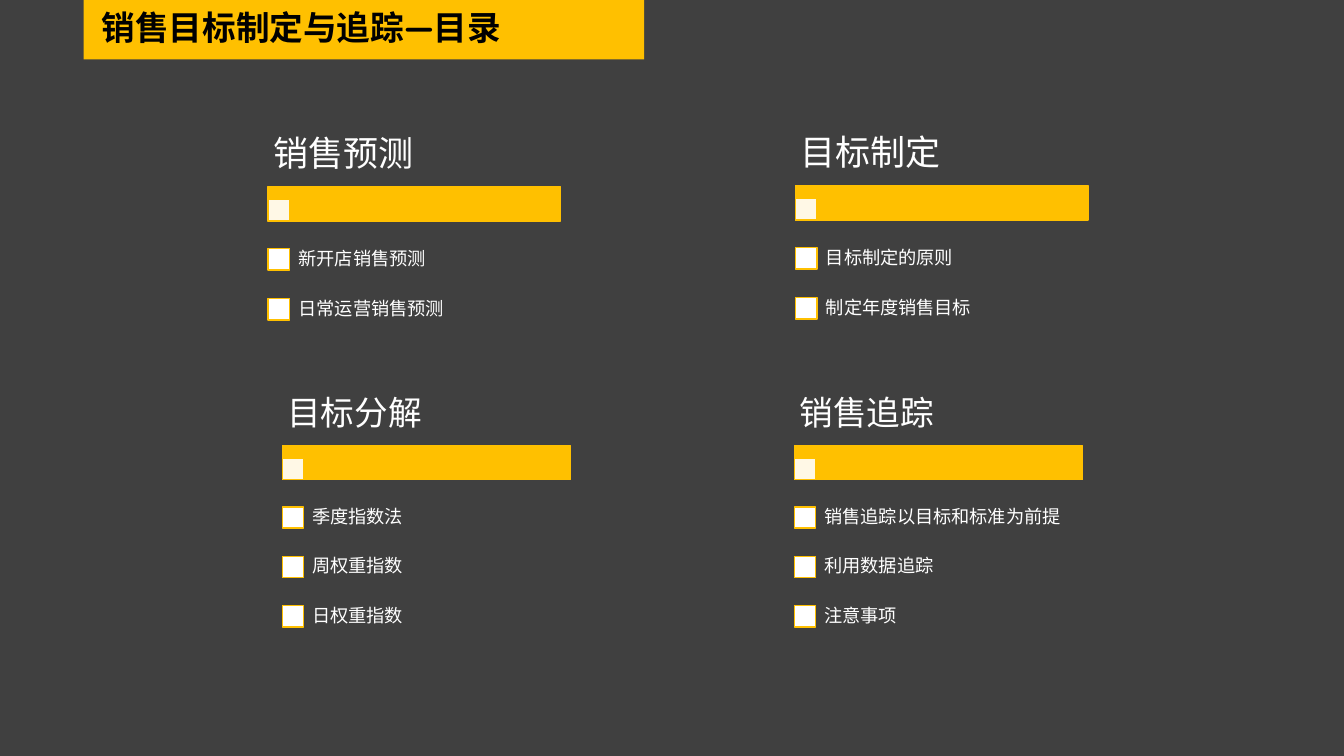
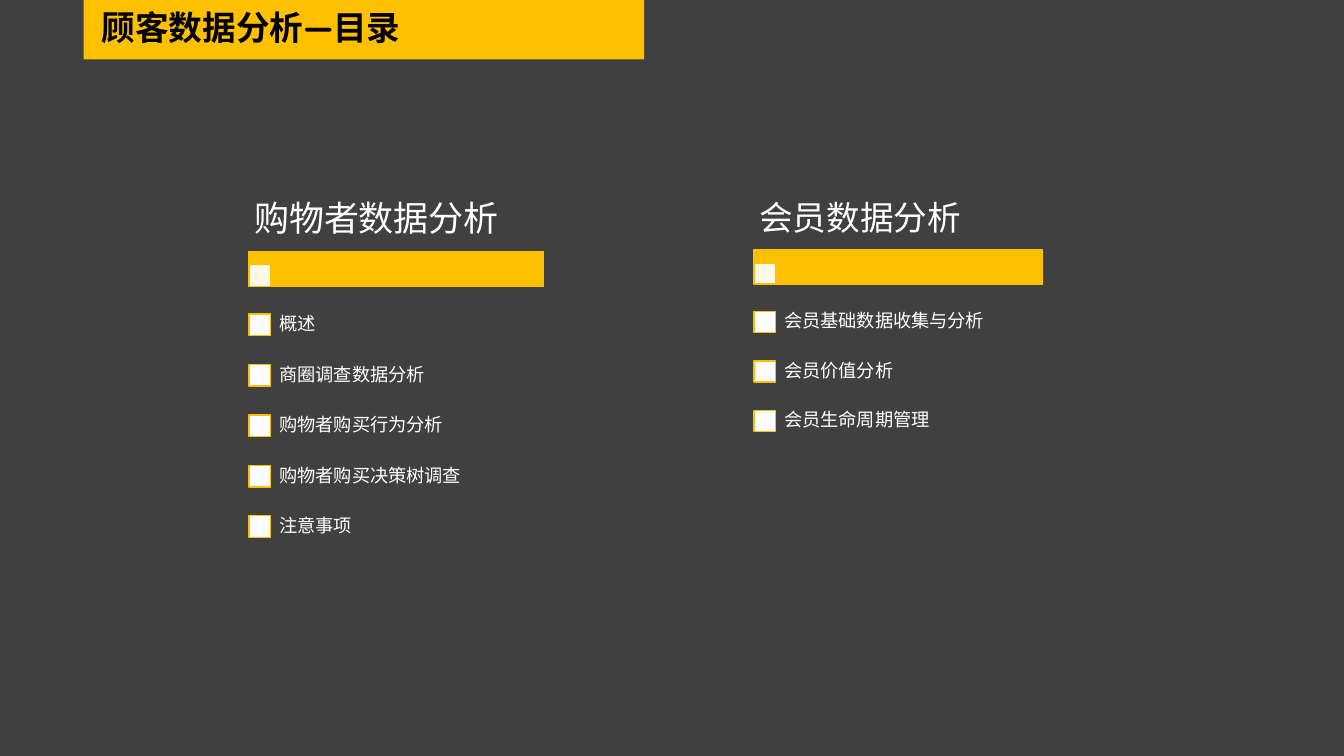
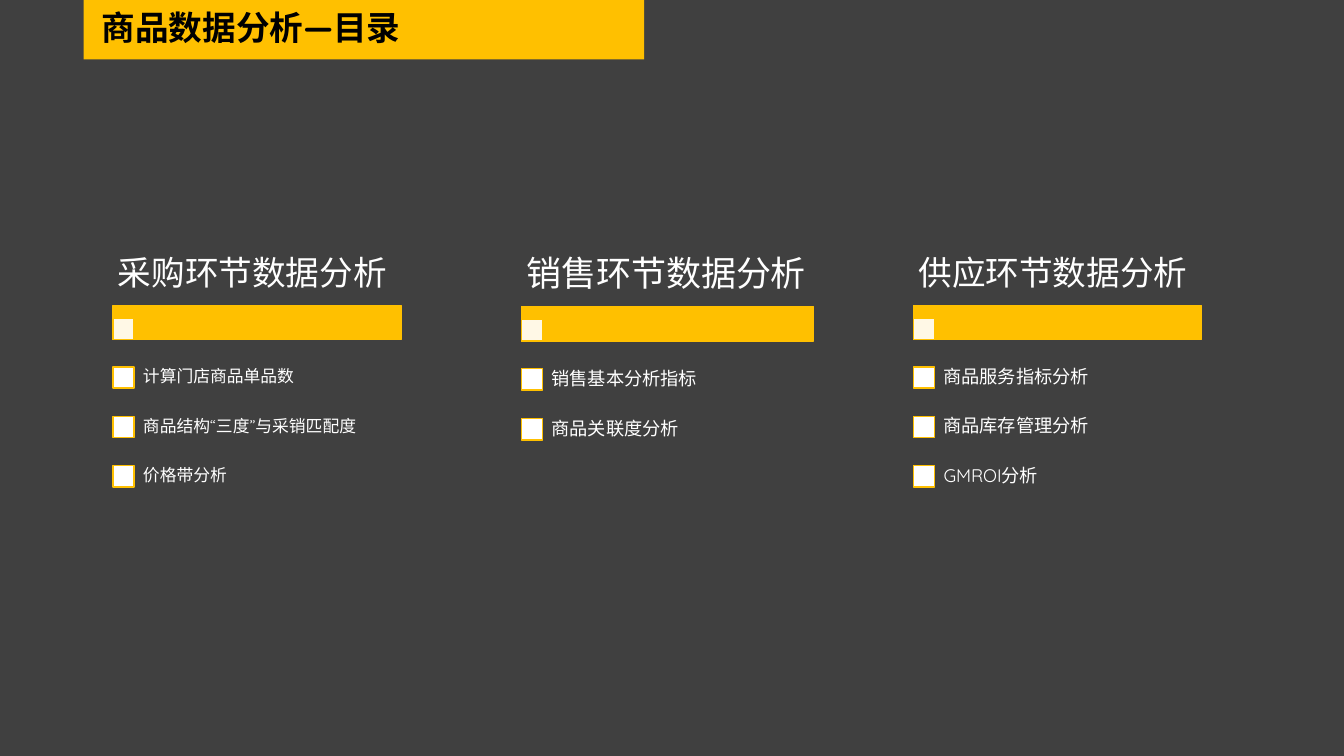
from pptx import Presentation
from pptx.dml.color import RGBColor
from pptx.enum.lang import MSO_LANGUAGE_ID
from pptx.enum.shapes import MSO_SHAPE
from pptx.enum.text import MSO_ANCHOR
from pptx.oxml import parse_xml
from pptx.oxml.ns import nsdecls
from pptx.util import Inches, Pt

FONT = "Quicksand"
DARK, GOLD, WHITE, BLACK = "404040", "FFC000", "FFFFFF", "000000"
BASE_W = 2.86
HEAD_H, BAR_H, TICK = 0.61, 0.34, 0.21
ROW_TOP, ROW_H, ROW_INDENT, TICK_DROP = 1.08, 0.49, 0.2, 0.14


def paint(fill, color, alpha=None):
    fill.solid()
    fill.fore_color.rgb = RGBColor.from_string(color)
    if alpha is not None:
        clr = fill._xPr.find(".//{*}srgbClr")
        clr.append(parse_xml(f'<a:alpha {nsdecls("a")} val="{alpha * 1000}"/>'))


def add_rect(shapes, x, y, w, h, color, line=GOLD, alpha=None):
    sp = shapes.add_shape(MSO_SHAPE.RECTANGLE, *map(Inches, (x, y, w, h)))
    sp.shadow.inherit = False
    paint(sp.fill, color, alpha)
    if line:
        paint(sp.line.fill, line)
        sp.line.width = Pt(1)
    else:
        sp.line.fill.background()
    return sp


def add_text(shapes, text, x, y, w, h, size, color=WHITE, bold=False, pad=(0.1, 0.1)):
    tf = shapes.add_textbox(*map(Inches, (x, y, w, h))).text_frame
    tf.word_wrap = True
    tf.vertical_anchor = MSO_ANCHOR.MIDDLE
    tf.margin_left = tf.margin_right = Inches(pad[0])
    tf.margin_top = tf.margin_bottom = Inches(pad[1])
    p = tf.paragraphs[0]
    p.line_spacing = 0.9
    r = p.add_run()
    r.text = text
    r.font.size, r.font.bold = Pt(size), bold
    r.font.language_id = MSO_LANGUAGE_ID.SIMPLIFIED_CHINESE
    paint(r.font.fill, color)
    r.font.name = FONT
    latin = r.font._element.find("{*}latin")
    latin.addnext(parse_xml(f'<a:ea {nsdecls("a")} typeface="{FONT}"/>'))


def add_section(s, x, y, w, head_size, head, items, item_size=13):
    """Heading, bar and ticked rows, all scaled with the column width."""
    k = w / BASE_W
    shapes = s.shapes.add_group_shape().shapes
    tick = TICK * k
    bar_y = y + HEAD_H * k
    add_rect(shapes, x, bar_y, w, BAR_H * k, GOLD)
    add_rect(shapes, x, bar_y + BAR_H * k - tick, tick, tick, WHITE, alpha=90)
    add_text(shapes, head, x, y, w, HEAD_H * k, head_size, pad=(0.05, 0.03))
    for i, item in enumerate(items):
        row_y = y + (ROW_TOP + i * ROW_H) * k
        add_rect(shapes, x, row_y + TICK_DROP * k, tick, tick, WHITE)
        add_text(shapes, item, x + ROW_INDENT * k, row_y,
                 w - ROW_INDENT * k, ROW_H * k, item_size)


def set_up_layout(prs):
    layout = prs.slide_layouts[6]
    paint(layout.background.fill, DARK)
    return layout


def add_band(s, layout):
    """Draw the title band and hand it to the layout, so all slides show it."""
    band = add_rect(s.shapes, 0.83, 0, 5.56, 0.59, GOLD, line=None)
    layout.shapes.element.append(band.element)


SLIDES = [
    ("销售目标制定与追踪—目录", [
        (2.66, 1.23, 2.9, 25, "销售预测", ["新开店销售预测", "日常运营销售预测"]),
        (2.8, 3.81, 2.86, 24, "目标分解", ["季度指数法", "周权重指数", "日权重指数"]),
        (7.88, 3.81, 2.86, 24, "销售追踪",
         ["销售追踪以目标和标准为前提", "利用数据追踪", "注意事项"]),
        (7.89, 1.22, 2.9, 25, "目标制定", ["目标制定的原则", "制定年度销售目标"]),
    ]),
    ("顾客数据分析—目录", [
        (2.47, 1.87, 2.92, 25, "购物者数据分析",
         ["概述", "商圈调查数据分析", "购物者购买行为分析", "购物者购买决策树调查", "注意事项"]),
        (7.48, 1.87, 2.86, 24, "会员数据分析",
         ["会员基础数据收集与分析", "会员价值分析", "会员生命周期管理"]),
    ]),
    ("商品数据分析—目录", [
        (5.17, 2.42, 2.9, 25, "销售环节数据分析", ["销售基本分析指标", "商品关联度分析"]),
        (1.12, 2.42, 2.86, 24, "采购环节数据分析",
         ["计算门店商品单品数", "商品结构“三度”与采销匹配度", "价格带分析"], 12),
        (9.06, 2.42, 2.86, 24, "供应环节数据分析",
         ["商品服务指标分析", "商品库存管理分析", "GMROI分析"]),
    ]),
]


def main():
    prs = Presentation()
    prs.slide_width, prs.slide_height = Inches(13.33), Inches(7.5)
    layout = set_up_layout(prs)
    for n, (title, sections) in enumerate(SLIDES):
        s = prs.slides.add_slide(layout)
        if n == 0:
            add_band(s, layout)
        add_text(s.shapes, title, 0.91, 0.04, 4.82, 0.5, 24,
                 color=BLACK, bold=True, pad=(0.1, 0.05))
        for section in sections:
            add_section(s, *section)
    prs.save("out.pptx")


if __name__ == "__main__":
    main()
